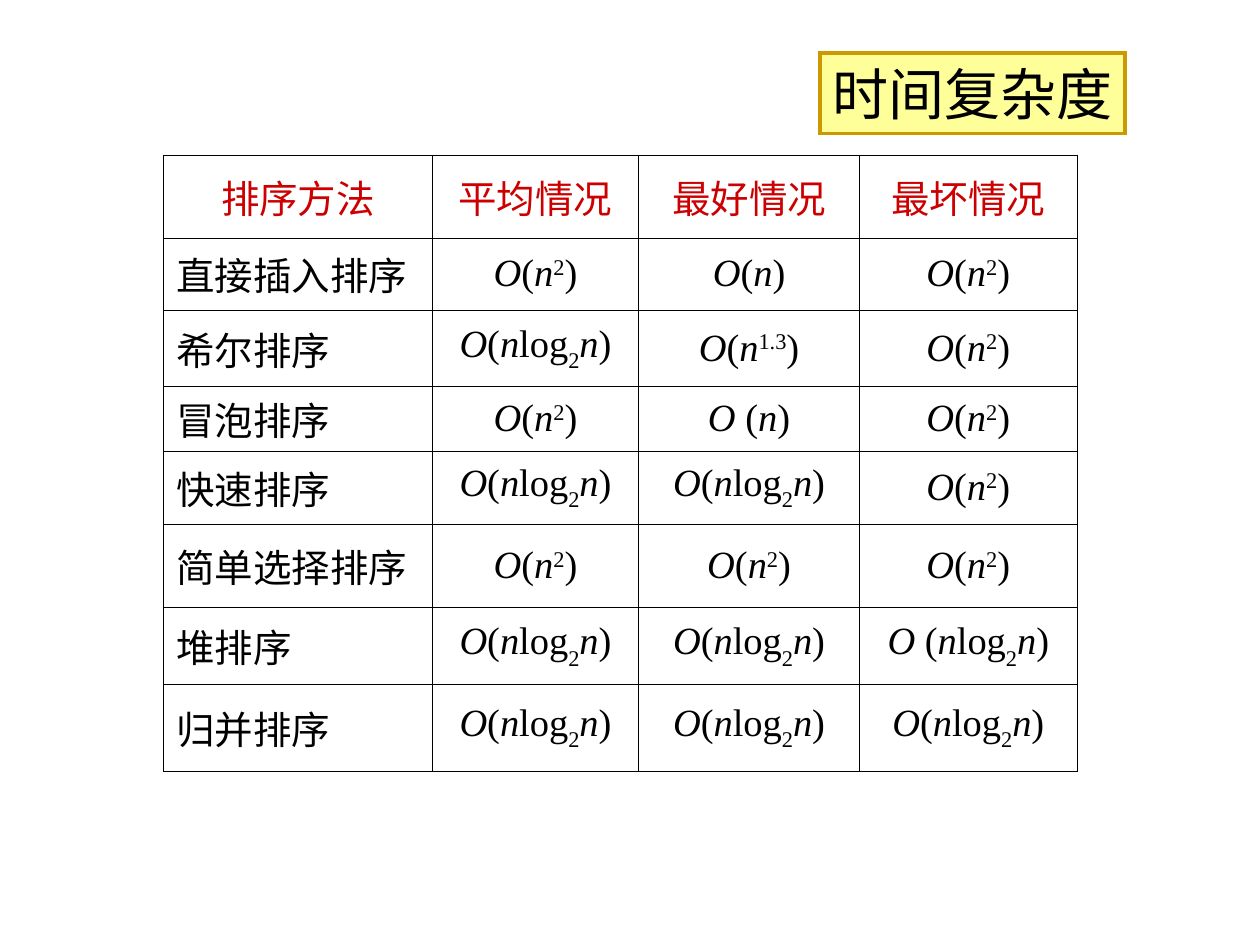
"""Build a slide comparing the time complexity of sorting methods."""
from lxml import etree
from pptx import Presentation
from pptx.dml.color import RGBColor
from pptx.enum import shapes, text
from pptx.oxml import ns
from pptx.util import Inches, Pt

BLACK = RGBColor(0x00, 0x00, 0x00)
WHITE = RGBColor(0xFF, 0xFF, 0xFF)
RED = RGBColor(0xCC, 0x00, 0x00)
YELLOW = RGBColor(0xFF, 0xFF, 0x99)
GOLD = RGBColor(0xCC, 0x99, 0x00)

LINEAR = "O|(|n|)"
SQUARE = "O|(|n|^2|)"
NLOGN = "O|(|n|log|_2|n|)"
BASELINES = {"^": "30000", "_": "-30000"}

HEADERS = ["排序方法", "平均情况", "最好情况", "最坏情况"]
METHODS = [
    ["直接插入排序", SQUARE, LINEAR, SQUARE],
    ["希尔排序", NLOGN, "O|(|n|^1.3|)", SQUARE],
    ["冒泡排序", SQUARE, "O |(|n|)", SQUARE],
    ["快速排序", NLOGN, NLOGN, SQUARE],
    ["简单选择排序", SQUARE, SQUARE, SQUARE],
    ["堆排序", NLOGN, NLOGN, "O |(|n|log|_2|n|)"],
    ["归并排序", NLOGN, NLOGN, NLOGN],
]
COL_WIDTHS = [2.13, 1.64, 1.75, 1.73]
ROW_HEIGHTS = [0.66, 0.57, 0.61, 0.51, 0.58, 0.66, 0.61, 0.69]


def add_formula(p, formula, color):
    for part in formula.split("|"):
        r = p.add_run()
        r.text = part.lstrip("^_")
        r.font.size = Pt(22)
        r.font.name = "Times New Roman"
        r.font.color.rgb = color
        r.font.italic = part.strip() in ("O", "n")
        if part[0] in BASELINES:
            r.font._element.set("baseline", BASELINES[part[0]])


def add_borders(cell):
    tc_pr = cell._tc.get_or_add_tcPr()
    for i, side in enumerate(["lnL", "lnR", "lnT", "lnB"]):
        ln = etree.Element(ns.qn(f"a:{side}"), w=str(Pt(0.45)))
        fill = etree.SubElement(ln, ns.qn("a:solidFill"))
        etree.SubElement(fill, ns.qn("a:srgbClr"), val=str(BLACK))
        tc_pr.insert(i, ln)


prs = Presentation()
prs.slide_width, prs.slide_height = Inches(10), Inches(7.5)
s = prs.slides.add_slide(prs.slide_layouts[6])

rows = [HEADERS] + METHODS
table = s.shapes.add_table(len(rows), len(HEADERS), Inches(1.3), Inches(1.23),
                           Inches(sum(COL_WIDTHS)), Inches(sum(ROW_HEIGHTS))).table
table.first_row = False
table.horz_banding = False
for col, width in zip(table.columns, COL_WIDTHS):
    col.width = Inches(width)
for row, height in zip(table.rows, ROW_HEIGHTS):
    row.height = Inches(height)

for i, values in enumerate(rows):
    for j, value in enumerate(values):
        cell = table.cell(i, j)
        cell.vertical_anchor = text.MSO_ANCHOR.MIDDLE
        cell.margin_top = cell.margin_bottom = Inches(0.02)
        cell.fill.solid()
        cell.fill.fore_color.rgb = WHITE
        add_borders(cell)
        p = cell.text_frame.paragraphs[0]
        is_name = i > 0 and j == 0
        p.alignment = text.PP_ALIGN.LEFT if is_name else text.PP_ALIGN.CENTER
        add_formula(p, value, BLACK if i else RED)

sp = s.shapes.add_shape(shapes.MSO_SHAPE.RECTANGLE,
                        Inches(6.51), Inches(0.42), Inches(2.42), Inches(0.64))
sp.shadow.inherit = False
sp.fill.solid()
sp.fill.fore_color.rgb = YELLOW
sp.line.color.rgb = GOLD
sp.line.width = Pt(2)
etree.SubElement(sp.line._get_or_add_ln(), ns.qn("a:miter"), lim="800000")
tf = sp.text_frame
tf.word_wrap = False
tf.auto_size = text.MSO_AUTO_SIZE.NONE
tf.margin_left = tf.margin_right = Inches(0.02)
tf.vertical_anchor = text.MSO_ANCHOR.TOP
tf.text = "时间复杂度"
p = tf.paragraphs[0]
p.alignment = text.PP_ALIGN.CENTER
r = p.runs[0]
r.font.size = Pt(32)
r.font.name = "Arial"
r.font.color.rgb = BLACK

prs.save("out.pptx")
